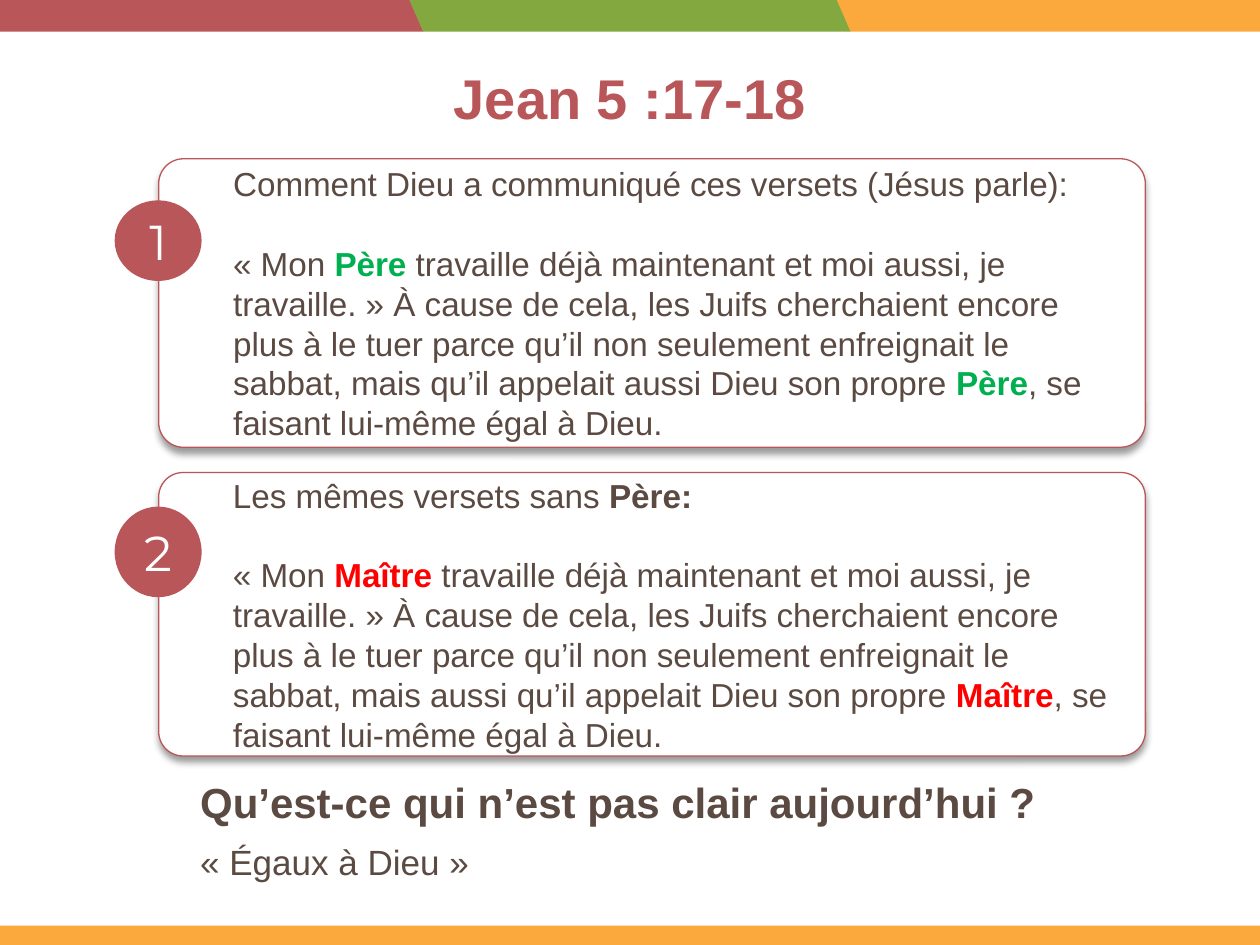
"""Build the slide comparing two renderings of John 5:17-18."""
import pptx
import pptx.util
import pptx.dml.color
import pptx.enum.shapes
import pptx.enum.text
import pptx.oxml
import pptx.oxml.ns

Pt = pptx.util.Pt
Shape = pptx.enum.shapes.MSO_SHAPE
Align = pptx.enum.text.PP_ALIGN
Anchor = pptx.enum.text.MSO_ANCHOR
Fit = pptx.enum.text.MSO_AUTO_SIZE
HUES = {
    "red": "B95659", "green": "83A83F", "gold": "FBA93D", "white": "FFFFFF",
    "brown": "5B4A42", "father": "00B050", "master": "FF0000",
}
SHADOW = (
    f'<a:effectLst {pptx.oxml.ns.nsdecls("a")}>'
    '<a:outerShdw blurRad="50800" dist="38100" dir="5400000" rotWithShape="0">'
    '<a:srgbClr val="000000"><a:alpha val="40000"/></a:srgbClr>'
    '</a:outerShdw></a:effectLst>'
)


def style(font, size, hue, bold=False, face="Arial"):
    """Set size, colour, weight and face of a font."""
    font.size, font.bold, font.name = Pt(size), bold, face
    font.color.rgb = pptx.dml.color.RGBColor.from_string(HUES[hue])


def draw(kind, left, top, width, height, hue):
    """Add a plain filled shape."""
    shape = slide.shapes.add_shape(kind, Pt(left), Pt(top), Pt(width), Pt(height))
    shape.shadow.inherit = False
    shape.fill.solid()
    shape.fill.fore_color.rgb = pptx.dml.color.RGBColor.from_string(HUES[hue])
    shape.line.fill.background()
    return shape


deck = pptx.Presentation()
deck.slide_width, deck.slide_height = Pt(720), Pt(540)
slide = deck.slides.add_slide(deck.slide_layouts[5])

for left, hue in ((478, "gold"), (-10, "red"), (234, "green")):
    band = draw(Shape.PARALLELOGRAM, left, 0, 252, 18, hue)
    band.adjustments[0] = 0.436
    band._element.spPr.xfrm.set("flipH", "1")
draw(Shape.RECTANGLE, 0, 529, 720, 11, "gold")

title = slide.shapes.title
title.left, title.top, title.width, title.height = Pt(49.7), Pt(33), Pt(620.6), Pt(50)
frame = title.text_frame
frame.text = "Jean 5 :17-18"
frame.vertical_anchor = Anchor.MIDDLE
frame.paragraphs[0].alignment = Align.CENTER
frame.paragraphs[0].line_spacing = 0.9
style(frame.paragraphs[0].runs[0].font, 32, "red", True)

cards = (
    (90.7, 164.9, 114.5, 46.1, "Père", "father", "qu’il appelait aussi",
     (("Comment Dieu a communiqué ces versets (Jésus parle):", "brown", False),)),
    (270, 162, 289.5, 51.8, "Maître", "master", "aussi qu’il appelait",
     (("Les mêmes versets sans ", "brown", False), ("Père:", "brown", True))),
)
for number, (top, height, dot, tall, word, hue, clause, head) in enumerate(cards, 1):
    card = draw(Shape.ROUNDED_RECTANGLE, 90.7, top, 563.8, height, "white")
    card.adjustments[0] = 0.086
    card.line.color.rgb = pptx.dml.color.RGBColor.from_string(HUES["red"])
    card.line.width = Pt(0.75)
    props = card._element.spPr
    props.replace(props.find(pptx.oxml.ns.qn("a:effectLst")), pptx.oxml.parse_xml(SHADOW))
    verse = (
        ("« Mon ", "brown", False),
        (word, hue, True),
        (" travaille déjà maintenant et moi aussi, je travaille. » À cause de cela, "
         "les Juifs cherchaient encore plus à le tuer parce qu’il non seulement "
         f"enfreignait le sabbat, mais {clause} Dieu son propre ", "brown", False),
        (word, hue, True),
        (", se faisant lui-même égal à Dieu.", "brown", False),
    )
    frame = card.text_frame
    frame.word_wrap = True
    frame.vertical_anchor = Anchor.MIDDLE
    for para, parts in ((frame.paragraphs[0], head), (frame.add_paragraph(), verse)):
        para.alignment = Align.LEFT
        para.line_spacing = 1.0
        para._p.get_or_add_pPr().set("marL", str(Pt(31.3)))
        for text, tint, bold in parts:
            run = para.add_run()
            run.text = text
            style(run.font, 19, tint, bold)
    para.space_before = Pt(22.6)

    badge = draw(Shape.OVAL, 65.5, dot, 49.7, tall, "red")
    frame = badge.text_frame
    frame.text = str(number)
    frame.vertical_anchor = Anchor.MIDDLE
    frame.paragraphs[0].alignment = Align.CENTER
    style(frame.paragraphs[0].runs[0].font, 28, "white", face="Montserrat")

for text, top, width, height, size, bold in (
    ("« Égaux à Dieu »", 476.6, 403.2, 31.7, 20, False),
    ("Qu’est-ce qui n’est pas clair aujourd’hui ?", 440, 554.4, 36, 24, True),
):
    box = slide.shapes.add_textbox(Pt(107.3), Pt(top), Pt(width), Pt(height))
    frame = box.text_frame
    frame.word_wrap = True
    frame.auto_size = Fit.SHAPE_TO_FIT_TEXT
    frame.text = text
    style(frame.paragraphs[0].runs[0].font, size, "brown", bold)

deck.save("out.pptx")
